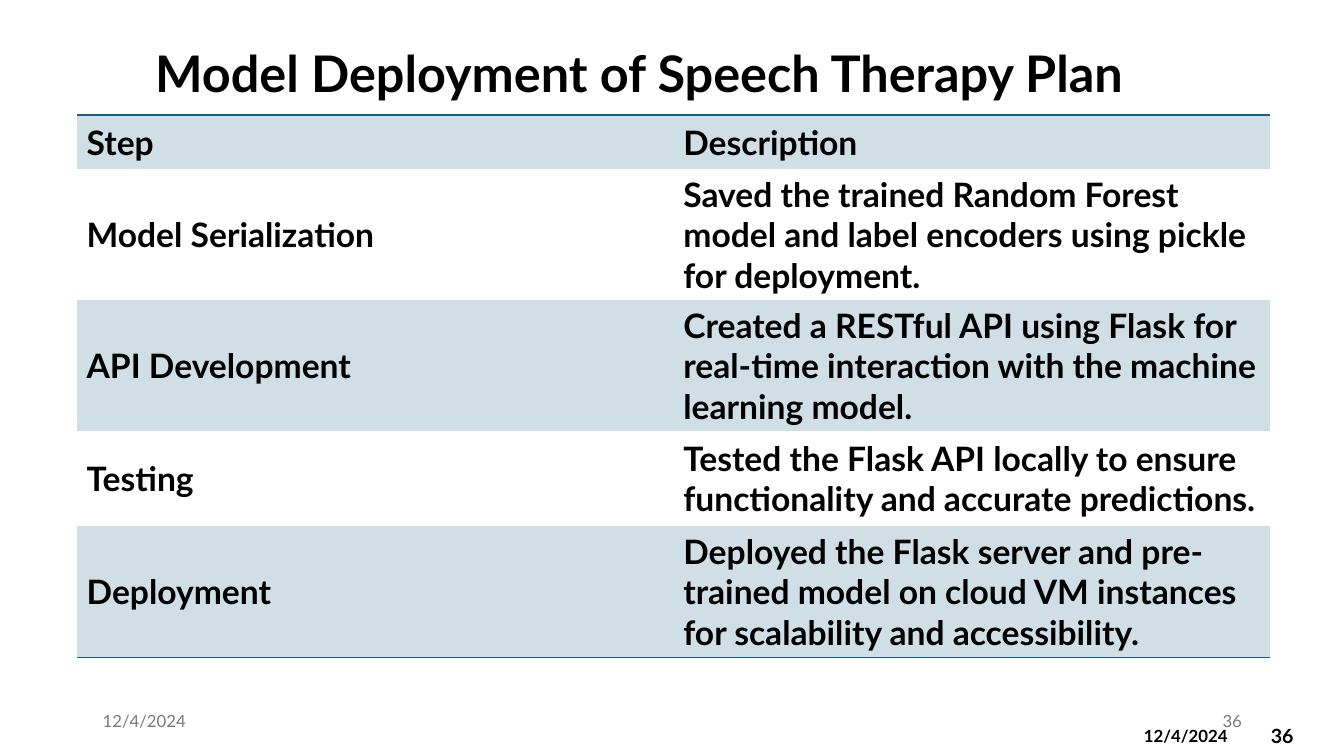
from pptx import Presentation
from pptx.dml.color import RGBColor
from pptx.enum.text import MSO_ANCHOR, PP_ALIGN
from pptx.oxml import parse_xml
from pptx.oxml.ns import nsdecls
from pptx.util import Pt

PX = 9144  # 100 px to the inch
MID, TOP = MSO_ANCHOR.MIDDLE, MSO_ANCHOR.TOP
LEFT, RIGHT = PP_ALIGN.LEFT, PP_ALIGN.RIGHT
PLAIN = "{2D5ABB26-0587-4C30-8999-92F81FD0307C}"  # no style, no grid

THEME = {
    "font": "Lato", "ink": "000000", "muted": "797979",
    "band": "D0DFE6", "rule": "156082",
    "title": 36, "body": 24, "page": 14, "small": 12,
}


def write(frame, text, size="body", color="ink", bold=True, align=LEFT, gap=1.0):
    par = frame.paragraphs[0]
    par.alignment = align
    par.line_spacing = gap
    run = par.add_run()
    run.text = text
    run.font.name = THEME["font"]
    run.font.size = Pt(THEME[size])
    run.font.bold = bold
    run.font.color.rgb = RGBColor.from_string(THEME[color])


def rule(cell, side):
    cell._tc.get_or_add_tcPr().insert(0, parse_xml(
        f'<a:{side} {nsdecls("a")} w="12700"><a:solidFill>'
        f'<a:srgbClr val="{THEME["rule"]}"/></a:solidFill></a:{side}>'))


deck = Presentation()
deck.slide_width, deck.slide_height = 12192000, 6858000
slide = deck.slides.add_slide(deck.slide_layouts[6])

# Title, date and page number
muted = {"size": "small", "color": "muted", "bold": False}
labels = [
    ("36", (1251, 710, 74, 40), MID, {"size": "page"}),
    ("12/4/2024", (1125, 715, 117, 30), TOP, {"size": "small"}),
    ("12/4/2024", (92, 695, 300, 40), MID, muted),
    ("36", (942, 695, 300, 40), MID, {**muted, "align": RIGHT}),
    ("Model Deployment of Speech Therapy Plan", (144, 43, 1156, 65), MID,
     {"size": "title", "gap": 0.9}),
]
for text, place, anchor, style in labels:
    frame = slide.shapes.add_textbox(*(n * PX for n in place)).text_frame
    frame.word_wrap = True
    frame.vertical_anchor = anchor
    write(frame, text, **style)

# Table of steps: row height, step, description
steps = [
    (54, "Step", "Description"),
    (130, "Model Serialization",
     "Saved the trained Random Forest model and label encoders using pickle for deployment."),
    (130, "API Development",
     "Created a RESTful API using Flask for real-time interaction with the machine learning model."),
    (94, "Testing",
     "Tested the Flask API locally to ensure functionality and accurate predictions."),
    (130, "Deployment",
     "Deployed the Flask server and pre-trained model on cloud VM instances for scalability and accessibility."),
]
high = sum(step[0] for step in steps)
table = slide.shapes.add_table(
    len(steps), 2, 76 * PX, 114 * PX, 1184 * PX, high * PX).table
table._tbl.tblPr[0].text = PLAIN

for r, (height, *texts) in enumerate(steps):
    table.rows[r].height = height * PX
    for c, text in enumerate(texts):
        cell = table.cell(r, c)
        cell.vertical_anchor = MID
        write(cell.text_frame, text)
        if r % 2:
            cell.fill.background()
        else:
            cell.fill.solid()
            cell.fill.fore_color.rgb = RGBColor.from_string(THEME["band"])
        if r == 0:
            rule(cell, "lnT")
        if r == len(steps) - 1:
            rule(cell, "lnB")

deck.save("out.pptx")
